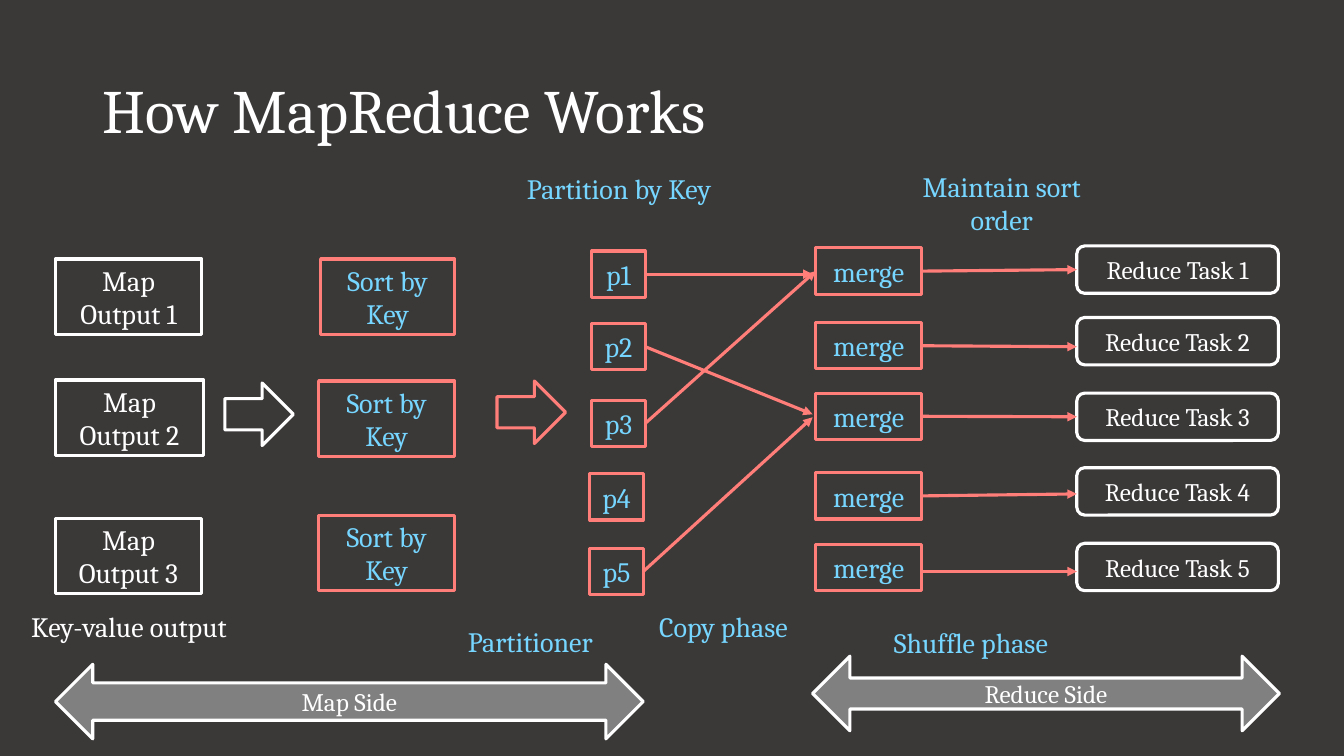
from lxml import etree
from pptx import Presentation
from pptx.dml.color import RGBColor
from pptx.enum.shapes import MSO_CONNECTOR as Connector, MSO_SHAPE as Shape
from pptx.enum.text import MSO_ANCHOR as Anchor, PP_ALIGN as Align
from pptx.oxml.ns import qn
from pptx.util import Inches, Pt

BACKGROUND = RGBColor(0x3B, 0x38, 0x38)
WHITE = RGBColor(0xFF, 0xFF, 0xFF)
CORAL = RGBColor(0xFF, 0x7E, 0x79)
SKY = RGBColor(0x76, 0xD6, 0xFF)
GRAY = RGBColor(0x80, 0x80, 0x80)
FONT = "Cambria"
LINE_WIDTH = Pt(2.25)
RIGHT, LEFT = 3, 1


def write(shape, text, size, color, align=Align.CENTER, anchor=Anchor.MIDDLE):
    frame = shape.text_frame
    frame.word_wrap = True
    frame.vertical_anchor = anchor
    para = frame.paragraphs[0]
    para.text = text
    para.alignment = align
    for span in para.runs:
        span.font.name = FONT
        span.font.size = Pt(size)
        span.font.color.rgb = color
    return para


def add_label(page, text, left, top, width, height=0.44, color=SKY):
    box = page.shapes.add_textbox(*map(Inches, (left, top, width, height)))
    write(box, text, 20, color, anchor=Anchor.TOP)


def add_title(page, text):
    box = page.shapes.add_textbox(*map(Inches, (0.92, 0.4, 11.5, 1.45)))
    write(box, text, 44, WHITE, Align.LEFT).line_spacing = 0.9


def add_box(page, kind, place, line, text="", size=20, color=WHITE, fill=None):
    box = page.shapes.add_shape(kind, *map(Inches, place))
    box.shadow.inherit = False
    box.line.color.rgb = line
    box.line.width = LINE_WIDTH
    if fill is None:
        box.fill.background()
    else:
        box.fill.solid()
        box.fill.fore_color.rgb = fill
    if text:
        write(box, text, size, color)
    return box


def add_arrow(page, start, end):
    arrow = page.shapes.add_connector(Connector.STRAIGHT, 0, 0, 0, 0)
    if isinstance(start, tuple):
        arrow.begin_x, arrow.begin_y = map(Inches, start)
    else:
        arrow.begin_connect(start, RIGHT)
    if isinstance(end, tuple):
        arrow.end_x, arrow.end_y = map(Inches, end)
    else:
        arrow.end_connect(end, LEFT)
    arrow.line.color.rgb = CORAL
    arrow.line.width = LINE_WIDTH
    outline = arrow.line._get_or_add_ln()
    etree.SubElement(outline, qn("a:tailEnd"), type="triangle")
    etree.SubElement(arrow._element.spPr, qn("a:effectLst"))


def add_map_stage(page):
    outputs = [(2.57, 1.45), (3.77, 1.47), (5.14, 1.45)]
    for number, (top, width) in enumerate(outputs, 1):
        add_box(page, Shape.RECTANGLE, (0.55, top, width, 0.75), WHITE,
                f"Map Output {number}")
    for left, top, width in [(3.18, 2.57, 1.33), (3.16, 3.78, 1.35), (3.16, 5.11, 1.35)]:
        add_box(page, Shape.RECTANGLE, (left, top, width, 0.75), CORAL,
                "Sort by Key", color=SKY)
    add_box(page, Shape.RIGHT_ARROW, (2.23, 3.8, 0.68, 0.62), WHITE)
    add_box(page, Shape.RIGHT_ARROW, (4.93, 3.78, 0.68, 0.62), CORAL)


def add_reduce_stage(page):
    places = [(5.87, 2.49), (5.87, 3.21), (5.87, 3.97), (5.85, 4.7), (5.85, 5.44)]
    partitions = [
        add_box(page, Shape.RECTANGLE, (left, top, 0.53, 0.46), CORAL, f"p{number}", color=SKY)
        for number, (left, top) in enumerate(places, 1)
    ]
    merges = [
        add_box(page, Shape.RECTANGLE, (8.09, top, 1.05, 0.46), CORAL, "merge", color=SKY)
        for top in (2.46, 3.2, 3.9, 4.69, 5.4)
    ]
    tasks = [
        add_box(page, Shape.ROUNDED_RECTANGLE, (10.68, top, 2, 0.47), WHITE,
                f"Reduce Task {number}", 18)
        for number, top in enumerate((2.44, 3.15, 3.9, 4.64, 5.39), 1)
    ]
    links = [
        (partitions[0], (8.06, 2.72)),
        (partitions[1], (8.06, 4.11)),
        (partitions[2], merges[0]),
        (partitions[4], (8.06, 4.14)),
        (merges[0], tasks[0]),
        (merges[1], (10.68, 3.44)),
        (merges[2], tasks[2]),
        (merges[3], (10.68, 4.9)),
        ((9.14, 5.67), (10.68, 5.67)),
    ]
    for start, end in links:
        add_arrow(page, start, end)


def add_side_arrows(page):
    add_box(page, Shape.LEFT_RIGHT_ARROW, (0.55, 6.59, 5.83, 0.74), WHITE,
            "Map Side", 18, fill=GRAY)
    reduce_side = add_box(page, Shape.LEFT_RIGHT_ARROW, (8.06, 6.51, 4.63, 0.74), WHITE,
                          "Reduce Side", 18, fill=GRAY)
    reduce_side.adjustments[0] = 0.415


def main():
    deck = Presentation()
    deck.slide_width, deck.slide_height = Inches(13.33), Inches(7.5)
    page = deck.slides.add_slide(deck.slide_layouts[6])
    page.background.fill.solid()
    page.background.fill.fore_color.rgb = BACKGROUND

    add_title(page, "How MapReduce Works")
    add_map_stage(page)
    add_reduce_stage(page)
    add_side_arrows(page)
    add_label(page, "Key-value output", -0.14, 6, 2.84, color=WHITE)
    add_label(page, "Partitioner", 3.84, 6.15, 2.84)
    add_label(page, "Partition by Key", 4.88, 1.65, 2.52)
    add_label(page, "Copy phase", 6.41, 6, 1.53, 0.77)
    add_label(page, "Maintain sort order", 9.03, 1.63, 1.81, 0.77)
    add_label(page, "Shuffle phase", 8.57, 6.16, 2.12)
    deck.save("out.pptx")


if __name__ == "__main__":
    main()
